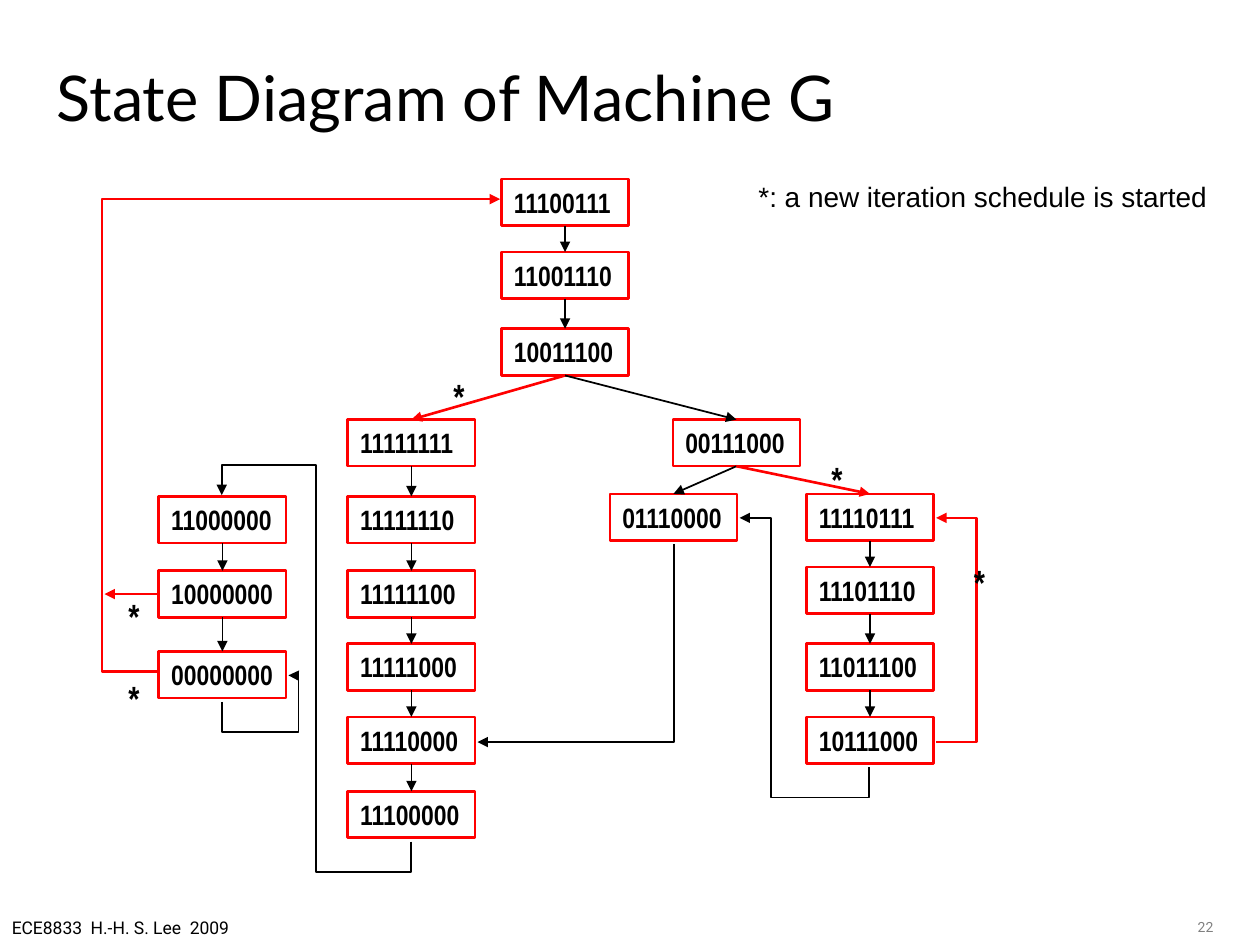
from itertools import pairwise

from lxml import etree
from pptx import Presentation
from pptx.dml.color import RGBColor
from pptx.enum.shapes import MSO_CONNECTOR, MSO_SHAPE
from pptx.enum.text import MSO_ANCHOR, MSO_AUTO_SIZE, PP_ALIGN
from pptx.oxml.ns import qn
from pptx.util import Inches, Pt

STRAIGHT = MSO_CONNECTOR.STRAIGHT
RECTANGLE = MSO_SHAPE.RECTANGLE
LEFT, CENTER, RIGHT = PP_ALIGN.LEFT, PP_ALIGN.CENTER, PP_ALIGN.RIGHT
TOP, MIDDLE = MSO_ANCHOR.TOP, MSO_ANCHOR.MIDDLE
FIXED, GROW = MSO_AUTO_SIZE.NONE, MSO_AUTO_SIZE.SHAPE_TO_FIT_TEXT
TOP_SIDE, LEFT_SIDE, BOTTOM_SIDE = 0, 1, 2

COLORS = {"red": "FF0000", "black": "000000", "gray": "808080"}
WEIGHTS = {"red": 1.5, "black": 1}
COLUMNS, ROWS = 100, 75
STATE_SIZE = (10.1, 3.7)
STAR_SIZE = (2.9, 4.4)

CHAINS = [
    (39.8, {"11100111": 14.2, "11001110": 20, "10011100": 26.1}),
    (27.6, {"11111111": 33.3, "11111110": 39.4, "11111100": 45.3,
            "11111000": 51.1, "11110000": 56.9, "11100000": 62.8}),
    (12.6, {"11000000": 39.4, "10000000": 45.3, "00000000": 51.7}),
    (53.4, {"00111000": 33.3}),
    (48.4, {"01110000": 39.2}),
    (64, {"11110111": 39.2, "11101110": 45, "11011100": 51.1,
          "10111000": 56.9}),
]
BRANCHES = [
    ("10011100", "11111111", "red"),
    ("10011100", "00111000", "black"),
    ("00111000", "01110000", "black"),
    ("00111000", "11110111", "red"),
]
ROUTES = [
    ("red", [(12.5, 53.3), (8.1, 53.3), (8.1, 15.8), (39.7, 15.8)]),
    ("black", [(32.6, 66.8), (32.6, 69.2), (25.1, 69.2), (25.1, 36.9),
               (17.6, 36.9), (17.6, 39.3)]),
    ("black", [(53.5, 43.2), (53.5, 58.9), (37.9, 58.9)]),
    ("black", [(17.6, 55.7), (17.6, 58.1), (23.7, 58.1), (23.7, 53.6),
               (22.9, 53.6)]),
    ("black", [(69, 60.9), (69, 63.3), (61.2, 63.3), (61.2, 41.1),
               (58.7, 41.1)]),
    ("red", [(74.3, 58.9), (77.5, 58.9), (77.5, 41.1), (74.3, 41.1)]),
]
STARS = [(35, 29.2), (9.2, 53.2), (9.2, 46.7), (65, 35.8), (76.3, 44)]


def write(shape, text, *, size, font, color="black", bold=False, align=LEFT,
          anchor=TOP, wrap=False, fit=GROW):
    """Put one formatted paragraph in a shape."""
    frame = shape.text_frame
    frame.word_wrap = wrap
    frame.auto_size = fit
    frame.vertical_anchor = anchor
    para = frame.paragraphs[0]
    para.alignment = align
    span = para.add_run()
    span.text = text
    span.font.size = Pt(size)
    span.font.name = font
    span.font.bold = bold
    span.font.color.rgb = RGBColor.from_string(COLORS[color])


class Diagram:
    """Holds the grid, the line style and the current slide."""

    def __init__(self, deck):
        self.page = deck.slides.add_slide(deck.slide_layouts[5])
        self.shapes = self.page.shapes
        self.column = deck.slide_width / COLUMNS
        self.row = deck.slide_height / ROWS

    def place(self, column, row):
        """Turn a grid position or size into slide units."""
        return round(column * self.column), round(row * self.row)

    def title(self, text, spot, extent):
        """Move and fill the title placeholder."""
        box = self.shapes.title
        box.left, box.top = self.place(*spot)
        box.width, box.height = self.place(*extent)
        write(box, text, size=36, font="Lato", anchor=MIDDLE, wrap=True,
              fit=FIXED)

    def label(self, text, spot, extent, **style):
        """Add a text box."""
        box = self.shapes.add_textbox(*self.place(*spot),
                                      *self.place(*extent))
        write(box, text, **style)

    def state(self, name, spot):
        """Add a red outlined state box."""
        box = self.shapes.add_shape(RECTANGLE, *self.place(*spot),
                                    *self.place(*STATE_SIZE))
        box.shadow.inherit = False
        box.fill.background()
        self.stroke(box, "red")
        write(box, name, size=16, font="Arial Narrow", bold=True)
        return box

    def stroke(self, shape, color):
        """Set the line colour and its matching weight."""
        shape.line.color.rgb = RGBColor.from_string(COLORS[color])
        shape.line.width = Pt(WEIGHTS[color])

    def point(self, shape, color):
        """Style a line and end it with an arrowhead."""
        self.stroke(shape, color)
        line = shape.element.spPr.find(qn("a:ln"))
        etree.SubElement(line, qn("a:tailEnd"), type="triangle")

    def arrow(self, source, side, color, target=None, end=(0, 0)):
        """Join a state to the top of another state or to a grid point."""
        link = self.shapes.add_connector(STRAIGHT, 0, 0, *self.place(*end))
        link.begin_connect(source, side)
        if target is not None:
            link.end_connect(target, TOP_SIDE)
        self.point(link, color)
        etree.SubElement(link.element.spPr, qn("a:effectLst"))

    def route(self, color, corners):
        """Draw a bent arrow through grid points."""
        start, *rest = [self.place(*corner) for corner in corners]
        builder = self.shapes.build_freeform(*start)
        builder.add_line_segments(rest, close=False)
        bend = builder.convert_to_shape()
        bend.shadow.inherit = False
        bend.fill.background()
        self.point(bend, color)


def main():
    """Build the state diagram slide."""
    deck = Presentation()
    deck.slide_width, deck.slide_height = Inches(10), Inches(7.5)
    diagram = Diagram(deck)
    diagram.title("State Diagram of Machine G", (3.5, 3.5), (90, 8.3))

    states = {}
    for column, rows in CHAINS:
        for name, row in rows.items():
            states[name] = diagram.state(name, (column, row))
        for source, target in pairwise(rows):
            diagram.arrow(states[source], BOTTOM_SIDE, "black",
                          states[target])
    for source, target, color in BRANCHES:
        diagram.arrow(states[source], BOTTOM_SIDE, color, states[target])
    diagram.arrow(states["10000000"], LEFT_SIDE, "red", end=(8.3, 47.15))
    for color, corners in ROUTES:
        diagram.route(color, corners)

    for spot in STARS:
        diagram.label("*", spot, STAR_SIZE, size=20, font="Arial Narrow",
                      bold=True)
    diagram.label("*: a new iteration schedule is started", (59.2, 13.8),
                  (37.6, 3.7), size=16, font="Arial", align=CENTER)
    diagram.label("ECE8833  H.-H. S. Lee  2009", (-0.2, 72.3), (19.5, 2.7),
                  size=10, font="Roboto", align=CENTER)
    diagram.label("22", (90.7, 72.4), (6.6, 1.7), size=8, font="Roboto",
                  color="gray", align=RIGHT, wrap=True, fit=FIXED)
    deck.save("out.pptx")


if __name__ == "__main__":
    main()
